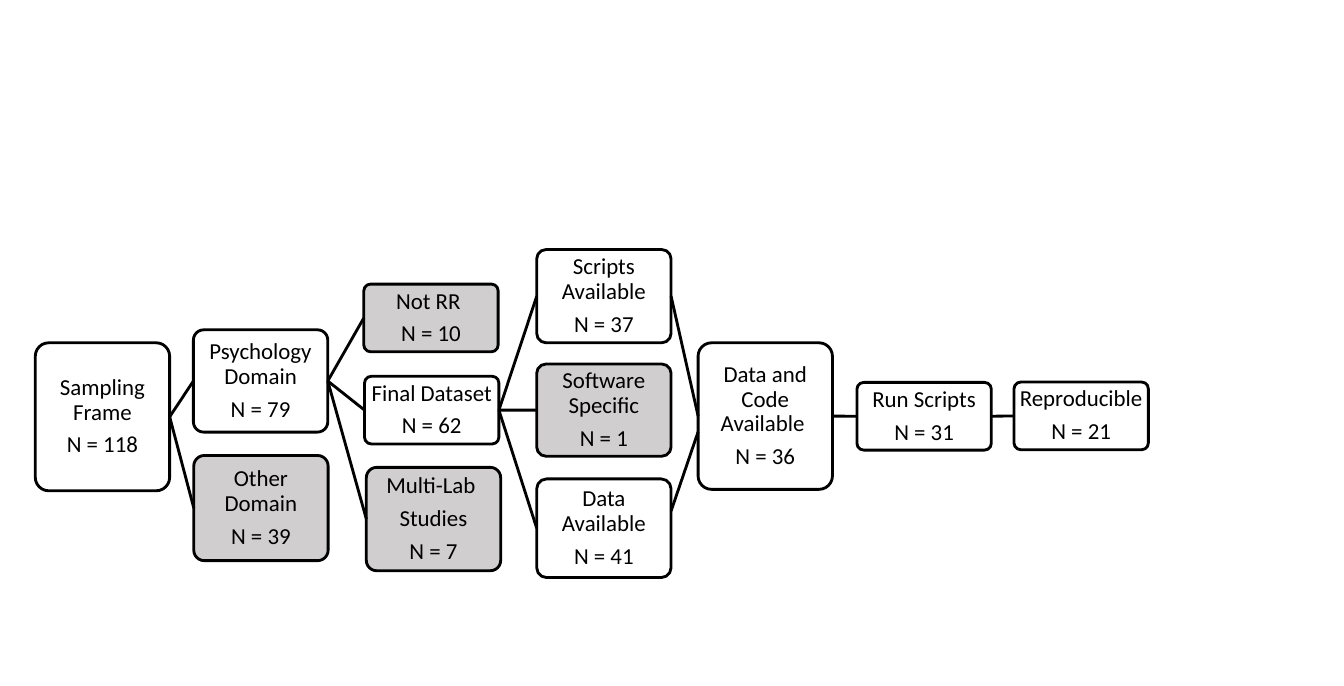
from collections import namedtuple
from dataclasses import dataclass
from lxml.etree import SubElement
from pptx import Presentation
from pptx.dml.color import RGBColor
from pptx.enum.shapes import MSO_CONNECTOR, MSO_SHAPE
from pptx.enum.text import MSO_ANCHOR, PP_ALIGN
from pptx.oxml.ns import qn
from pptx.util import Cm, Pt


@dataclass(frozen=True)
class Theme:
    """Colours, type and line sizes of the slide."""
    font: str = "Calibri"
    size: float = 18
    after: float = 6.3
    leading: float = 0.9
    stroke: float = 2.25
    ink: RGBColor = RGBColor(0, 0, 0)
    kept: RGBColor = RGBColor(255, 255, 255)
    dropped: RGBColor = RGBColor(0xD0, 0xCE, 0xCE)


Step = namedtuple("Step", "left top height lines fill")
Box = namedtuple("Box", "left top")
THEME = Theme()
WIDTH = 3.73
LEFT, RIGHT = 1, 3
KEPT, DROPPED = THEME.kept, THEME.dropped

STEPS = {
    "frame": Step(0, 2.59, 4.11, ["Sampling Frame", "N = 118"], KEPT),
    "psych": Step(4.39, 2.23, 2.84, ["Psychology Domain", "N = 79"], KEPT),
    "other": Step(4.4, 5.72, 2.92, ["Other Domain", "N = 39"], DROPPED),
    "not_rr": Step(9.12, 0.96, 1.88, ["Not RR ", "N = 10"], DROPPED),
    "final": Step(9.14, 3.52, 1.88, ["Final Dataset", "N = 62"], KEPT),
    "multi": Step(9.19, 6.05, 2.87, ["Multi-Lab ", "Studies", "N = 7"], DROPPED),
    "scripts": Step(13.92, 0, 2.59, ["Scripts Available", "N = 37"], KEPT),
    "software": Step(13.92, 3.18, 2.56, ["Software Specific", "N = 1"], DROPPED),
    "data": Step(13.92, 6.37, 2.74, ["Data Available", "N = 41"], KEPT),
    "both": Step(18.4, 2.59, 4.07, ["Data and Code Available ", "N = 36"], KEPT),
    "run": Step(22.81, 3.69, 1.88, ["Run Scripts", "N = 31"], KEPT),
    "repro": Step(27.17, 3.68, 1.88, ["Reproducible", "N = 21"], KEPT),
}
LINKS = [
    ("frame", "psych"), ("frame", "other"),
    ("psych", "not_rr"), ("psych", "final"), ("psych", "multi"),
    ("final", "scripts"), ("final", "software"), ("final", "data"),
    ("scripts", "both"), ("both", "run"), ("run", "repro"),
]


def ink_line(line):
    """Give a line the theme's colour and width."""
    line.color.rgb = THEME.ink
    line.width = Pt(THEME.stroke)


def add_text(frame, lines):
    """Write centred paragraphs into a text frame."""
    frame.word_wrap = True
    frame.vertical_anchor = MSO_ANCHOR.MIDDLE
    frame.margin_left = frame.margin_right = Cm(0.03)
    frame.margin_top = frame.margin_bottom = Cm(0.03)
    for index, text in enumerate(lines):
        para = frame.add_paragraph() if index else frame.paragraphs[0]
        para.alignment = PP_ALIGN.CENTER
        para.line_spacing = THEME.leading
        para.space_after = Pt(THEME.after if index < len(lines) - 1 else 0)
        run = para.add_run()
        run.text = text
        run.font.name = THEME.font
        run.font.size = Pt(THEME.size)
        run.font.color.rgb = THEME.ink


def add_step(slide, box, step):
    """Draw one rounded step of the flow."""
    shape = slide.shapes.add_shape(
        MSO_SHAPE.ROUNDED_RECTANGLE, Cm(box.left + step.left),
        Cm(box.top + step.top), Cm(WIDTH), Cm(step.height))
    shape.adjustments[0] = 0.1
    shape.shadow.inherit = False
    shape.fill.solid()
    shape.fill.fore_color.rgb = step.fill
    ink_line(shape.line)
    add_text(shape.text_frame, step.lines)
    return shape


def add_link(slide, start=(0, 0), end=(0, 0)):
    """Draw a plain straight connector between two points."""
    link = slide.shapes.add_connector(MSO_CONNECTOR.STRAIGHT, *start, *end)
    ink_line(link.line)
    SubElement(link._element.spPr, qn("a:effectLst"))
    return link


def add_flow(slide, box):
    """Draw the sample flow with its steps and links."""
    shapes = {key: add_step(slide, box, step) for key, step in STEPS.items()}
    for source, target in LINKS:
        link = add_link(slide)
        link.begin_connect(shapes[source], RIGHT)
        link.end_connect(shapes[target], LEFT)
    data, both = shapes["data"], shapes["both"]
    add_link(slide, (data.left + data.width, data.top + Cm(0.89)),
             (both.left, both.top + Cm(2.47)))


def main():
    """Build and save the deck."""
    deck = Presentation()
    deck.slide_width, deck.slide_height = Cm(37.31), Cm(19.05)
    slide = deck.slides.add_slide(deck.slide_layouts[6])
    add_flow(slide, Box(0.98, 6.93))
    deck.save("out.pptx")


main()
